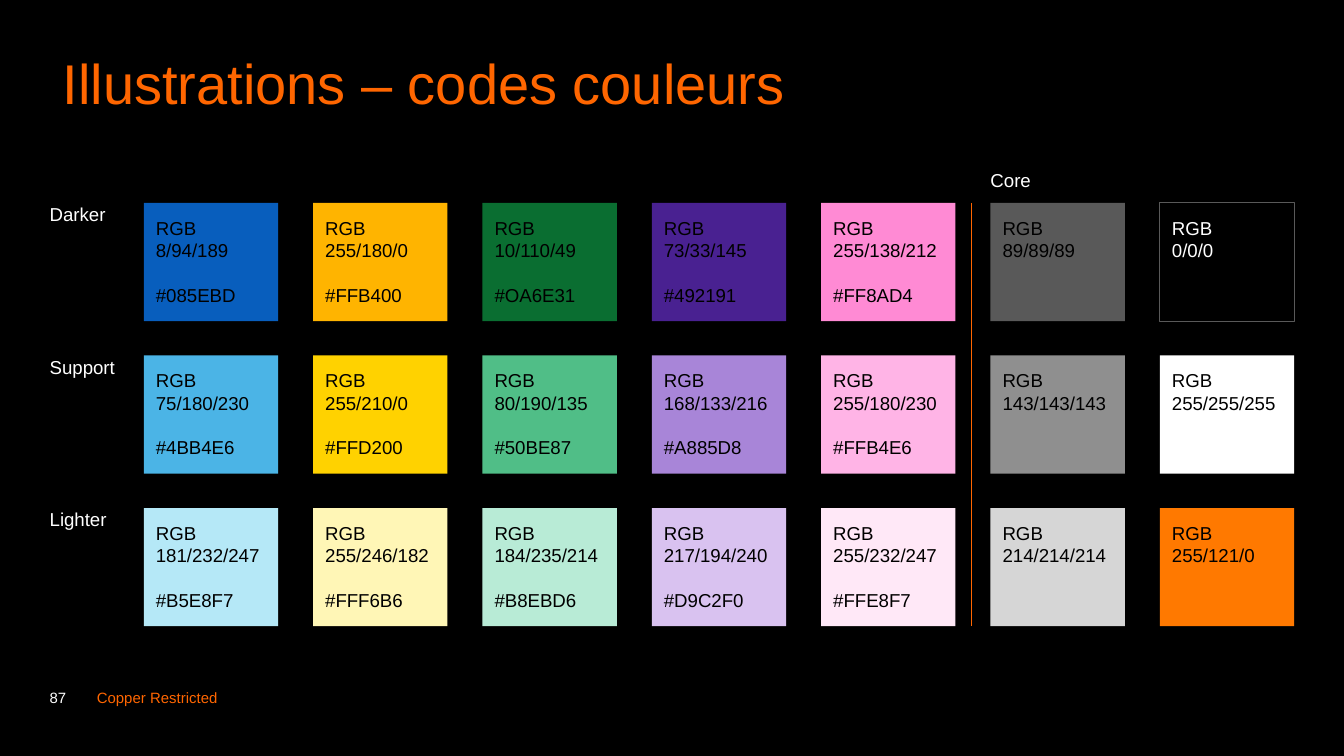
from lxml import etree
from pptx import Presentation
from pptx.dml.color import RGBColor
from pptx.enum.shapes import MSO_CONNECTOR, MSO_SHAPE
from pptx.enum.text import MSO_ANCHOR, PP_ALIGN
from pptx.oxml.ns import qn
from pptx.util import Inches, Pt

RECTANGLE = MSO_SHAPE.RECTANGLE
STRAIGHT = MSO_CONNECTOR.STRAIGHT
TOP, BOTTOM = MSO_ANCHOR.TOP, MSO_ANCHOR.BOTTOM
LEFT = PP_ALIGN.LEFT

BLACK = RGBColor(0x00, 0x00, 0x00)
WHITE = RGBColor(0xFF, 0xFF, 0xFF)
ORANGE = RGBColor(0xFF, 0x66, 0x00)
GREY = RGBColor(0x59, 0x59, 0x59)

# Grid in inches, on a 16:9 slide
SLIDE_W = 10
SLIDE_H = SLIDE_W * 9 / 16
MARGIN = 0.37
CONTENT_W = SLIDE_W - 2 * MARGIN
GRID_LEFT, GRID_TOP, GRID_BOTTOM = 1.07, 1.51, 4.66
SWATCH_W, SWATCH_H = 1, 0.88
COLUMN_STEP = 1.26
ROW_STEP = (GRID_BOTTOM - GRID_TOP - SWATCH_H) / 2

# Insets: left, top, right, bottom
NO_INSETS = (0, 0, 0, 0)
LABEL_INSETS = (0, 0, 0.1, 0.05)
SWATCH_INSETS = (0.09, 0.1, 0.1, 0.05)
TITLE_INSETS = (0.1, 0.05, 0.1, 0.05)

TITLE_SPACING = {"line_spacing": 0.9, "space_after": Pt(8)}
FOOTER_SPACING = {"line_spacing": 0.85, "space_after": Pt(12)}

ROW_LABELS = ["Darker", "Support", "Lighter"]

# Each column runs from darker to lighter: RGB code, printed hex code
ILLUSTRATION_COLOURS = [
    [("8/94/189", "#085EBD"), ("75/180/230", "#4BB4E6"), ("181/232/247", "#B5E8F7")],
    [("255/180/0", "#FFB400"), ("255/210/0", "#FFD200"), ("255/246/182", "#FFF6B6")],
    [("10/110/49", "#OA6E31"), ("80/190/135", "#50BE87"), ("184/235/214", "#B8EBD6")],
    [("73/33/145", "#492191"), ("168/133/216", "#A885D8"), ("217/194/240", "#D9C2F0")],
    [("255/138/212", "#FF8AD4"), ("255/180/230", "#FFB4E6"), ("255/232/247", "#FFE8F7")],
]
CORE_COLOURS = [
    [("89/89/89", None), ("143/143/143", None), ("214/214/214", None)],
    [("0/0/0", None), ("255/255/255", None), ("255/121/0", None)],
]
CORE_LEFT = GRID_LEFT + len(ILLUSTRATION_COLOURS) * COLUMN_STEP


def set_attributes(target, values):
    for name, value in values.items():
        setattr(target, name, value)


def write_text(shape, lines, size, colour, insets, anchor=TOP, spacing=None):
    frame = shape.text_frame
    left, top, right, bottom = map(Inches, insets)
    set_attributes(frame, {
        "word_wrap": True, "vertical_anchor": anchor,
        "margin_left": left, "margin_top": top,
        "margin_right": right, "margin_bottom": bottom,
    })
    frame.text = "\n".join(lines)
    for paragraph in frame.paragraphs:
        set_attributes(paragraph, {"alignment": LEFT, **(spacing or {})})
        set_attributes(paragraph.font, {"name": "Arial", "size": Pt(size)})
        paragraph.font.color.rgb = colour


def add_label(slide, box, text, size=10, colour=WHITE, insets=LABEL_INSETS, **layout):
    label = slide.shapes.add_textbox(*map(Inches, box))
    write_text(label, [text], size, colour, insets, **layout)


def add_swatch(slide, box, rgb_code, hex_code):
    swatch = slide.shapes.add_shape(RECTANGLE, *map(Inches, box))
    swatch.shadow.inherit = False
    fill_colour = RGBColor(*map(int, rgb_code.split("/")))
    swatch.fill.solid()
    swatch.fill.fore_color.rgb = fill_colour
    # Black needs an outline and white text to show on the background
    if fill_colour == BLACK:
        swatch.line.color.rgb = GREY
        swatch.line.width = Pt(0.5)
    else:
        swatch.line.fill.background()
    lines = ["RGB", rgb_code] + ([hex_code] if hex_code else [])
    text_colour = WHITE if fill_colour == BLACK else BLACK
    write_text(swatch, lines, 10, text_colour, SWATCH_INSETS)
    if hex_code:
        swatch.text_frame.paragraphs[-1].space_before = Pt(12)


def add_palette(slide, left, top, columns):
    for column, shades in enumerate(columns):
        for row, (rgb_code, hex_code) in enumerate(shades):
            box = (left + column * COLUMN_STEP, top + row * ROW_STEP, SWATCH_W, SWATCH_H)
            add_swatch(slide, box, rgb_code, hex_code)


def add_row_labels(slide, left, top):
    for row, text in enumerate(ROW_LABELS):
        add_label(slide, (left, top + row * ROW_STEP, 0.96, SWATCH_H), text)


def add_divider(slide, x, top, bottom):
    divider = slide.shapes.add_connector(STRAIGHT, *map(Inches, (x, top, x, bottom)))
    divider.line.color.rgb = ORANGE
    divider.line.width = Pt(0.5)
    etree.SubElement(divider._element.spPr, qn("a:effectLst"))


def add_footer(slide, left, top, width, height):
    number_w, gap = 0.3, 0.05
    text_left = left + number_w + gap
    parts = [("87", WHITE, left, number_w),
             ("Copper Restricted", ORANGE, text_left, left + width - text_left)]
    for text, colour, x, part_w in parts:
        add_label(slide, (x, top, part_w, height), text, 8, colour, NO_INSETS,
                  anchor=BOTTOM, spacing=FOOTER_SPACING)


def main():
    presentation = Presentation()
    presentation.slide_width = Inches(SLIDE_W)
    presentation.slide_height = Inches(SLIDE_H)
    slide = presentation.slides.add_slide(presentation.slide_layouts[6])
    slide.background.fill.solid()
    slide.background.fill.fore_color.rgb = BLACK

    # Title
    add_label(slide, (MARGIN, MARGIN, CONTENT_W, 0.63), "Illustrations – codes couleurs",
              30, ORANGE, TITLE_INSETS, spacing=TITLE_SPACING)

    # Illustration colours
    add_palette(slide, GRID_LEFT, GRID_TOP, ILLUSTRATION_COLOURS)
    add_row_labels(slide, MARGIN, GRID_TOP)

    # Core colours
    add_palette(slide, CORE_LEFT, GRID_TOP, CORE_COLOURS)
    add_label(slide, (CORE_LEFT, GRID_TOP - 0.25, COLUMN_STEP + SWATCH_W, 1.13), "Core")
    add_divider(slide, CORE_LEFT - 0.14, GRID_TOP, GRID_BOTTOM)

    # Footer
    add_footer(slide, MARGIN, 4.89, CONTENT_W, 0.37)

    presentation.save("out.pptx")


if __name__ == "__main__":
    main()
